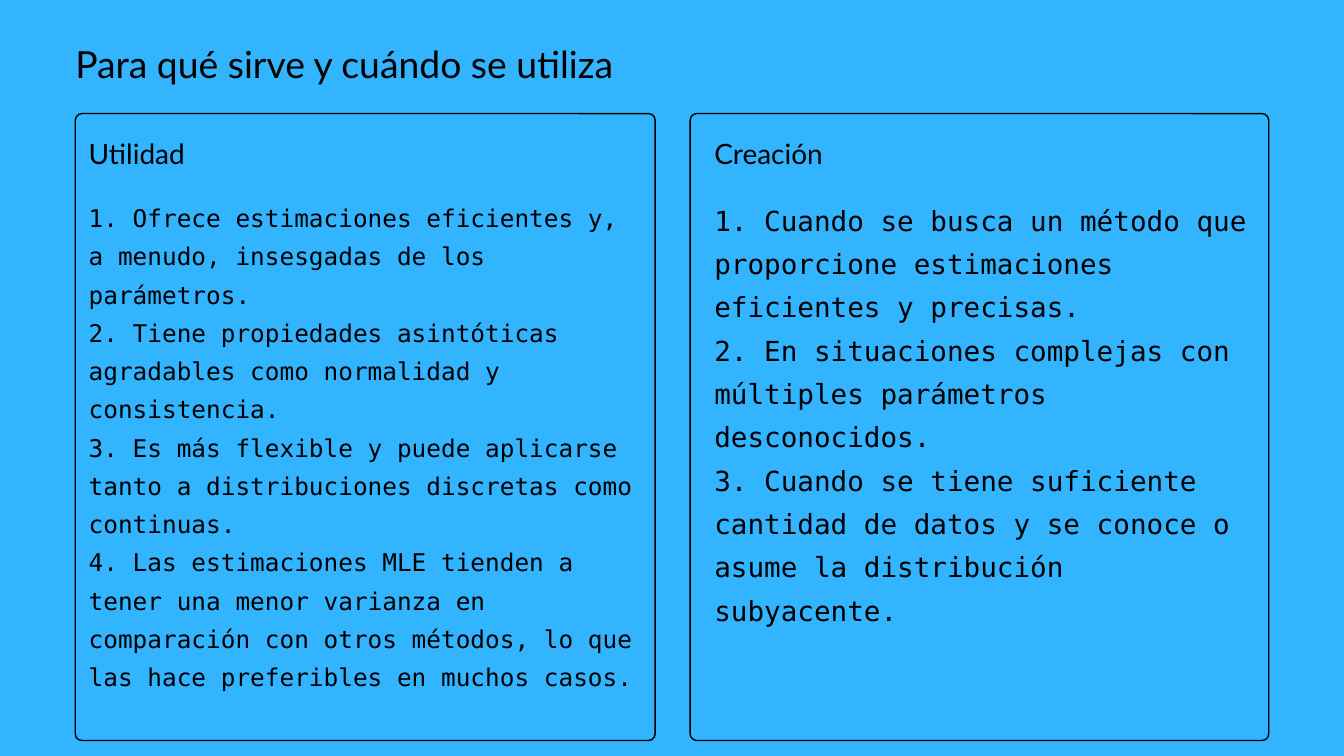
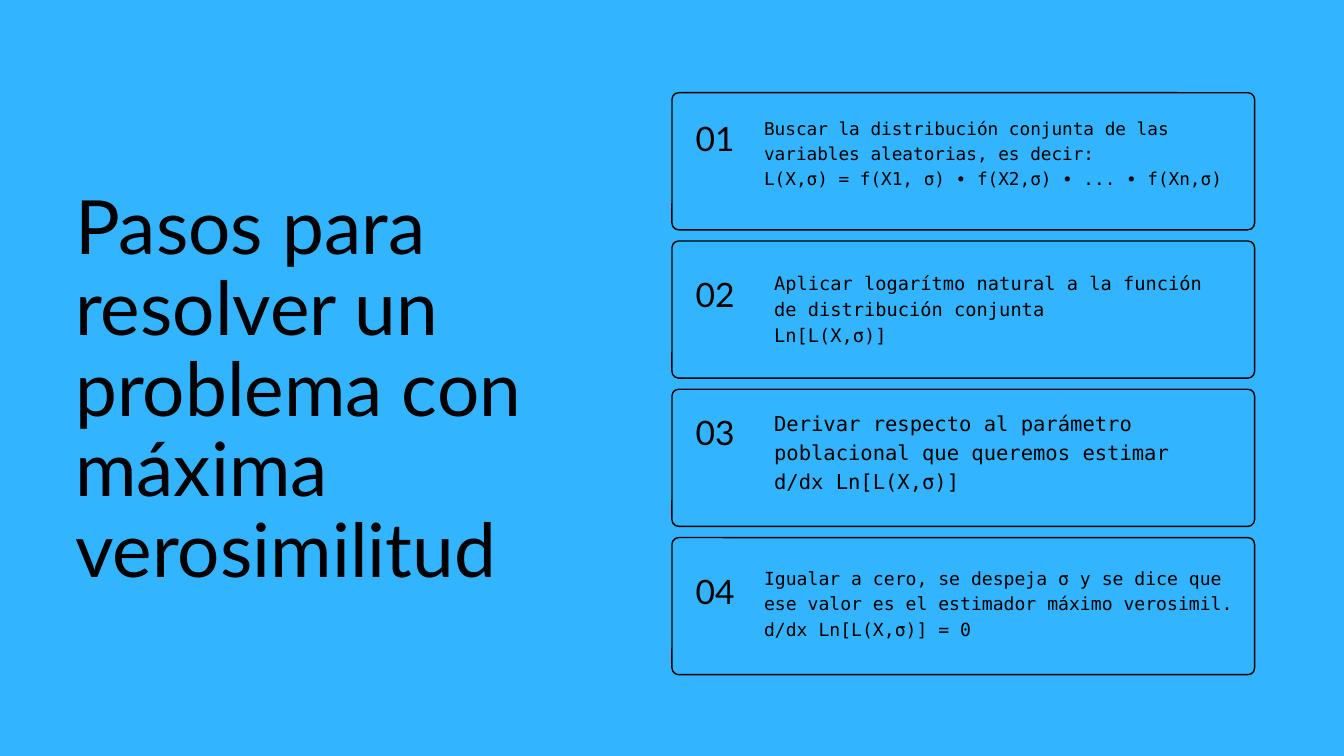
import pptx
import pptx.dml.color
import pptx.enum.shapes
import pptx.enum.text
import pptx.util
from pptx.util import Inches

SKY = "33B4FF"
INK = "000000"
TITLE_FONT = "Lato"
BODY_FONT = "DejaVu Sans Mono"
MARGIN = 1.12


def color(value):
    return pptx.dml.color.RGBColor.from_string(value)


class SlideBuilder:
    """Holds the deck, the shared style and the current slide."""

    def __init__(self):
        self.deck = pptx.Presentation()
        self.deck.slide_width = Inches(20)
        self.deck.slide_height = Inches(11.25)
        self.slide = None

    def new_slide(self):
        self.slide = self.deck.slides.add_slide(self.deck.slide_layouts[6])
        fill = self.slide.background.fill
        fill.solid()
        fill.fore_color.rgb = color(SKY)

    def panel(self, left, top, width, height):
        """Outlined box with small rounded corners."""
        shape = self.slide.shapes.add_shape(
            pptx.enum.shapes.MSO_SHAPE.ROUNDED_RECTANGLE,
            Inches(left), Inches(top), Inches(width), Inches(height))
        shape.adjustments[0] = 0.1 / min(width, height)
        shape.shadow.inherit = False
        shape.fill.background()
        shape.line.color.rgb = color(INK)
        shape.line.width = pptx.util.Pt(1.5)

    def text(self, left, top, width, height, lines, size, spacing, font=BODY_FONT):
        """Text box with one paragraph per line and exact line spacing."""
        box = self.slide.shapes.add_textbox(
            Inches(left), Inches(top), Inches(width), Inches(height))
        frame = box.text_frame
        frame.word_wrap = True
        frame.auto_size = pptx.enum.text.MSO_AUTO_SIZE.SHAPE_TO_FIT_TEXT
        frame.margin_left = frame.margin_right = 0
        frame.margin_top = frame.margin_bottom = 0
        frame.text = "\n".join(lines)
        for para in frame.paragraphs:
            para.line_spacing = pptx.util.Pt(spacing)
            for span in para.runs:
                span.font.name = font
                span.font.size = pptx.util.Pt(size)
                span.font.color.rgb = color(INK)

    def heading(self, left, top, width, height, words, size, spacing):
        self.text(left, top, width, height, [words], size, spacing, TITLE_FONT)


def build_uses(builder):
    builder.new_slide()

    # Two panels
    builder.panel(MARGIN, 1.69, 8.63, 9.33)
    builder.panel(10.27, 1.69, 8.61, 9.33)

    # Panel headings
    for left, words in ((1.32, "Utilidad"), (10.63, "Creación")):
        builder.heading(left, 2.03, 4.89, 0.5, words, 30, 35.7)

    # Panel lists
    builder.text(1.32, 2.89, 8.22, 7.84, [
        "1. Ofrece estimaciones eficientes y, a menudo, insesgadas de los parámetros.",
        "2. Tiene propiedades asintóticas agradables como normalidad y consistencia.",
        "3. Es más flexible y puede aplicarse tanto a distribuciones discretas "
        "como continuas.",
        "4. Las estimaciones MLE tienden a tener una menor varianza en comparación "
        "con otros métodos, lo que las hace preferibles en muchos casos.",
    ], 26.1, 41)
    builder.text(10.63, 2.88, 8.03, 6.29, [
        "1. Cuando se busca un método que proporcione estimaciones eficientes "
        "y precisas.",
        "2. En situaciones complejas con múltiples parámetros desconocidos.",
        "3. Cuando se tiene suficiente cantidad de datos y se conoce o asume "
        "la distribución subyacente.",
    ], 29.6, 46.4)

    # Title
    builder.heading(MARGIN, 0.68, 14.39, 0.64,
                    "Para qué sirve y cuándo se utiliza", 40, 43.2)


def build_steps(builder):
    builder.new_slide()

    # Each step: number top, then text left, top, width, height, size, lines
    steps = [
        (1.66, 11.37, 1.7, 7.38, 1.08, 19, [
            "Buscar la distribución conjunta de las variables aleatorias, es decir:",
            "L(X,σ) = f(X1, σ) ∙ f(X2,σ) ∙ ... ∙ f(Xn,σ)"]),
        (3.98, 11.52, 3.99, 6.67, 1.13, 20, [
            "Aplicar logarítmo natural a la función de distribución conjunta",
            "Ln[L(X,σ)]"]),
        (6.03, 11.52, 6.06, 6.52, 1.27, 22, [
            "Derivar respecto al parámetro poblacional que queremos estimar",
            "d/dx Ln[L(X,σ)]"]),
        (8.39, 11.37, 8.39, 7.07, 1.48, 19.4, [
            "Igualar a cero, se despeja σ y se dice que ese valor es el estimador "
            "máximo verosimil.",
            "d/dx Ln[L(X,σ)] = 0"]),
    ]
    first_top, last_top = 1.38, 8
    pitch = (last_top - first_top) / (len(steps) - 1)
    for index, (number_top, left, top, width, height, size, lines) in enumerate(steps):
        builder.panel(10, first_top + index * pitch, 8.67, 2.04)
        builder.heading(10.35, number_top, 1.01, 0.68, f"{index + 1:02d}", 36, 50.4)
        builder.text(left, top, width, height, lines, size, round(size * 1.4, 1))

    # Large title
    builder.heading(MARGIN, 2.81, 8.07, 6.07,
                    "Pasos para resolver un problema con máxima verosimilitud",
                    80.1, 86.5)


def main():
    builder = SlideBuilder()
    build_uses(builder)
    build_steps(builder)
    builder.deck.save("out.pptx")


if __name__ == "__main__":
    main()
